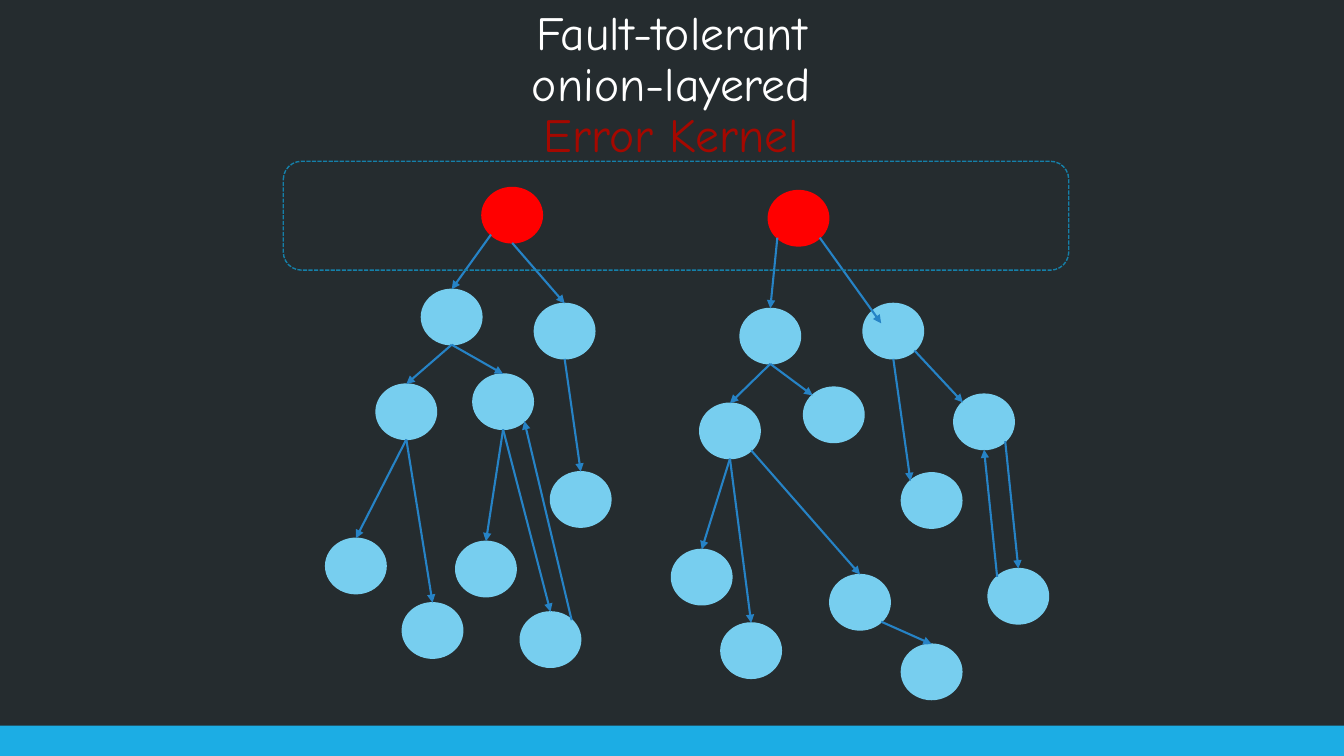
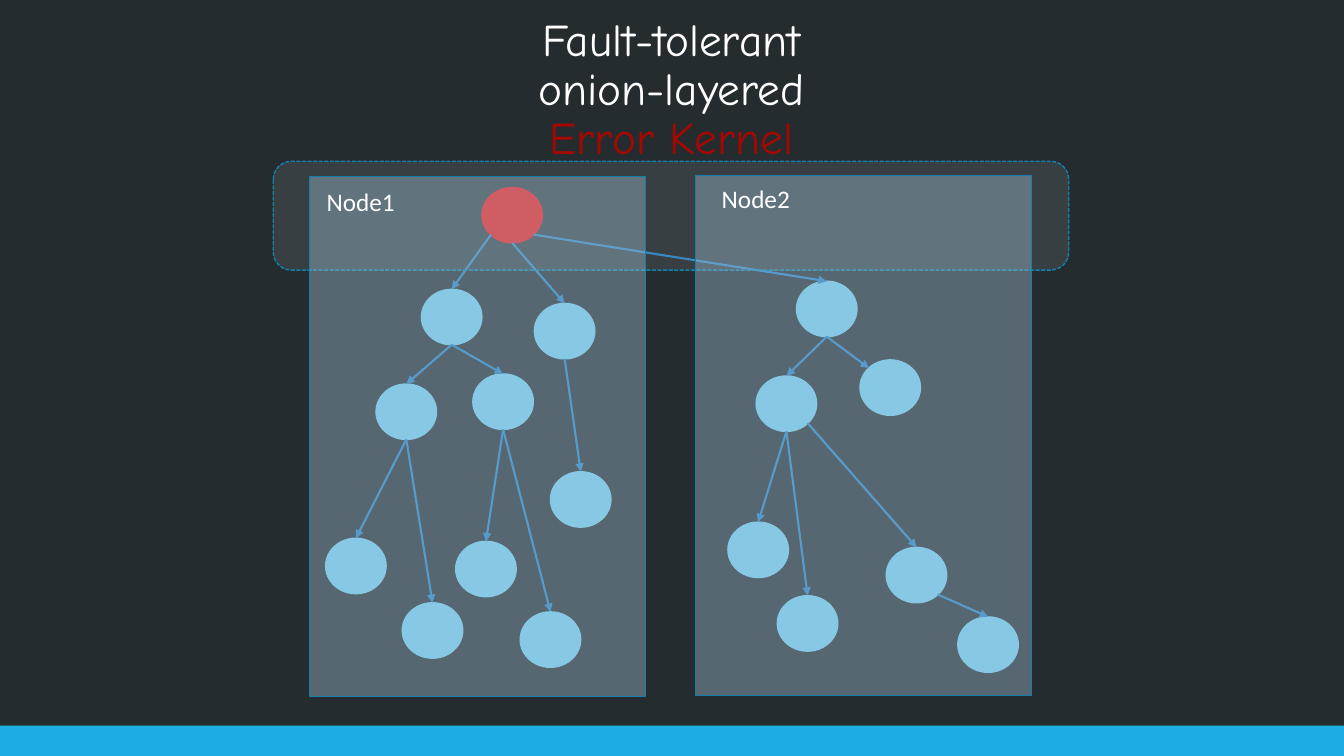
from pptx import Presentation
from pptx.dml.color import RGBColor
from pptx.enum.dml import MSO_LINE
from pptx.enum.shapes import MSO_CONNECTOR, MSO_SHAPE
from pptx.enum.text import MSO_ANCHOR, MSO_AUTO_SIZE, PP_ALIGN
from pptx.oxml.ns import qn
from pptx.util import Inches, Pt
from lxml import etree

RECTANGLE = MSO_SHAPE.RECTANGLE
ROUNDED = MSO_SHAPE.ROUNDED_RECTANGLE
OVAL = MSO_SHAPE.OVAL
STRAIGHT = MSO_CONNECTOR.STRAIGHT
DASH = MSO_LINE.SQUARE_DOT
CENTER = PP_ALIGN.CENTER
BOTTOM = MSO_ANCHOR.BOTTOM
FIXED = MSO_AUTO_SIZE.NONE
GROW = MSO_AUTO_SIZE.SHAPE_TO_FIT_TEXT

COLORS = {
    "background": "252C2F",
    "band": "1CADE4",
    "text": "FFFFFF",
    "accent": "A50800",
    "supervisor": "FF0000",
    "actor": "77CEEF",
    "arrow": "2683C6",
    "outline": "1580A9",
    "kernel": "A1ACB2",
    "panel": "A0C1D5",
}
TITLE_FONT = "Comic Neue"
BODY_FONT = "Calibri"
TITLE = "Fault-tolerant\vonion-layered\vError Kernel"

ACTOR_WIDTH, ACTOR_HEIGHT = 0.6, 0.55
SITES = {
    "top": (0.5, 0),
    "bottom": (0.5, 1),
    "top left": (0.15, 0.15),
    "top right": (0.85, 0.15),
    "bottom left": (0.15, 0.85),
    "bottom right": (0.85, 0.85),
    "inside": (0.3, 0.36),
}

LEFT_SUPERVISOR = {"left root": (4.78, 1.86)}
LEFT_ACTORS = {
    "a": (4.18, 2.87),
    "a1": (3.73, 3.81),
    "a11": (3.23, 5.34),
    "a12": (3.99, 5.98),
    "b": (5.3, 3.01),
    "a2": (4.69, 3.71),
    "a21": (4.52, 5.37),
    "a22": (5.16, 6.07),
    "b1": (5.46, 4.68),
}
LEFT_ARROWS = [
    ("left root", "bottom left", "a", "top"),
    ("a1", "bottom", "a11", "top"),
    ("a", "bottom", "a1", "top"),
    ("a1", "bottom", "a12", "top"),
    ("a2", "bottom", "a21", "top"),
    ("a", "bottom", "a2", "top"),
    ("a2", "bottom", "a22", "top"),
    ("left root", "bottom", "b", "top"),
    ("b", "bottom", "b1", "top"),
]

RIGHT_SUPERVISOR = {"right root": (7.62, 1.89)}
RIGHT_ACTORS = {
    "c": (7.34, 3.06),
    "c1": (6.94, 4),
    "c11": (6.66, 5.45),
    "c12": (7.15, 6.18),
    "c2": (7.97, 3.84),
    "c13": (8.23, 5.7),
    "c131": (8.94, 6.39),
}
RIGHT_ARROWS = [
    ("c1", "bottom", "c11", "top"),
    ("c", "bottom", "c1", "top"),
    ("c1", "bottom", "c12", "top"),
    ("c1", "bottom right", "c13", "top"),
    ("c", "bottom", "c2", "top left"),
    ("c13", "bottom right", "c131", "top"),
]

OUTER_ACTORS = {
    "d": (8.56, 3.01),
    "d1": (9.46, 3.91),
    "d2": (8.94, 4.69),
    "d11": (9.8, 5.64),
}
OUTER_ARROWS = [
    ("right root", "bottom left", "c", "top"),
    ("right root", "bottom right", "d", "inside"),
    ("d", "bottom right", "d1", "top left"),
    ("d", "bottom", "d2", "top left"),
    ("d1", "bottom right", "d11", "top"),
    ("d11", "top left", "d1", "bottom"),
    ("a22", "top right", "a2", "bottom right"),
]


def rgb(name):
    return RGBColor.from_string(COLORS[name])


class Deck:
    def __init__(self):
        self.deck = Presentation()
        self.deck.slide_width = Inches(13.33)
        self.deck.slide_height = Inches(7.5)
        self.page = None
        self.actors = {}
        master = self.deck.slide_master
        master.background.fill.solid()
        master.background.fill.fore_color.rgb = rgb("background")

    def add_page(self, title_top, title_size):
        self.page = self.deck.slides.add_slide(self.deck.slide_layouts[5])
        self.actors = {}
        title = self.page.shapes.title
        title.left, title.top = Inches(1.46), Inches(title_top)
        title.width, title.height = Inches(10.4), Inches(1.35)
        frame = title.text_frame
        frame.text = TITLE
        frame.word_wrap = True
        frame.auto_size = FIXED
        frame.vertical_anchor = BOTTOM
        paragraph = frame.paragraphs[0]
        paragraph.alignment = CENTER
        paragraph.line_spacing = 0.9
        for span in paragraph.runs:
            self.style(span, TITLE_FONT, title_size, "text")
        paragraph.runs[-1].font.color.rgb = rgb("accent")

    def style(self, span, font, size, color):
        span.font.name = font
        span.font.size = Pt(size)
        span.font.color.rgb = rgb(color)

    def shape(self, kind, bounds, fill=None, line=None, opacity=None):
        shape = self.page.shapes.add_shape(kind, *map(Inches, bounds))
        shape.shadow.inherit = False
        if fill:
            shape.fill.solid()
            shape.fill.fore_color.rgb = rgb(fill)
        else:
            shape.fill.background()
        if line:
            shape.line.color.rgb = rgb(line)
            shape.line.width = Pt(1)
        else:
            shape.line.fill.background()
        if opacity:
            color = shape.element.spPr.find(qn("a:solidFill"))[0]
            etree.SubElement(color, qn("a:alpha")).set("val", str(opacity * 1000))
        return shape

    def master_band(self):
        band = self.shape(RECTANGLE, (0, 7.2, 13.33, 0.3), "band")
        band.element.nvSpPr.cNvPr.set("id", "99")
        self.deck.slide_master.shapes.element.append(band.element)

    def add_actors(self, places, color="actor", shift=(0, 0)):
        for name, (left, top) in places.items():
            bounds = (left + shift[0], top + shift[1], ACTOR_WIDTH, ACTOR_HEIGHT)
            self.actors[name] = self.shape(OVAL, bounds, color, color)

    def site(self, name, side):
        actor = self.actors[name]
        across, down = SITES[side]
        return (
            actor.left + round(actor.width * across),
            actor.top + round(actor.height * down),
        )

    def add_arrows(self, links):
        for start, start_side, end, end_side in links:
            arrow = self.page.shapes.add_connector(
                STRAIGHT, *self.site(start, start_side), *self.site(end, end_side)
            )
            if end_side == "top":
                arrow.end_connect(self.actors[end], 0)
            arrow.line.color.rgb = rgb("arrow")
            arrow.line.width = Pt(1.5)
            properties = arrow.element.spPr
            head = etree.SubElement(properties.find(qn("a:ln")), qn("a:tailEnd"))
            head.set("type", "triangle")
            etree.SubElement(properties, qn("a:effectLst"))

    def kernel(self, left, width, fill=None, opacity=None):
        bounds = (left, 1.6, width, 1.08)
        frame = self.shape(ROUNDED, bounds, fill, "outline", opacity)
        frame.line.dash_style = DASH

    def panel(self, left, top):
        self.shape(RECTANGLE, (left, top, 3.33, 5.16), "panel", "outline", 40)

    def label(self, text, left, top):
        box = self.page.shapes.add_textbox(*map(Inches, (left, top, 0.89, 0.4)))
        frame = box.text_frame
        frame.text = text
        frame.word_wrap = False
        frame.auto_size = GROW
        self.style(frame.paragraphs[0].runs[0], BODY_FONT, 18, "text")

    def left_tree(self):
        self.add_actors(LEFT_SUPERVISOR, "supervisor")
        self.add_actors(LEFT_ACTORS)
        self.add_arrows(LEFT_ARROWS)

    def right_tree(self, shift=(0, 0)):
        self.add_actors(RIGHT_ACTORS, shift=shift)
        self.add_arrows(RIGHT_ARROWS)


def main():
    deck = Deck()

    deck.add_page(0.32, 34)
    deck.master_band()
    deck.left_tree()
    deck.add_actors(RIGHT_SUPERVISOR, "supervisor")
    deck.right_tree()
    deck.add_actors(OUTER_ACTORS)
    deck.add_arrows(OUTER_ARROWS)
    deck.kernel(2.81, 7.79)

    deck.add_page(0.33, 32.4)
    deck.left_tree()
    deck.right_tree(shift=(0.56, -0.27))
    deck.add_arrows([("left root", "bottom right", "c", "top")])
    deck.kernel(2.71, 7.89, "kernel", 15)
    deck.panel(3.07, 1.75)
    deck.panel(6.9, 1.74)
    deck.label("Node1", 3.14, 1.8)
    deck.label("Node2", 7.06, 1.77)

    deck.deck.save("out.pptx")


if __name__ == "__main__":
    main()
